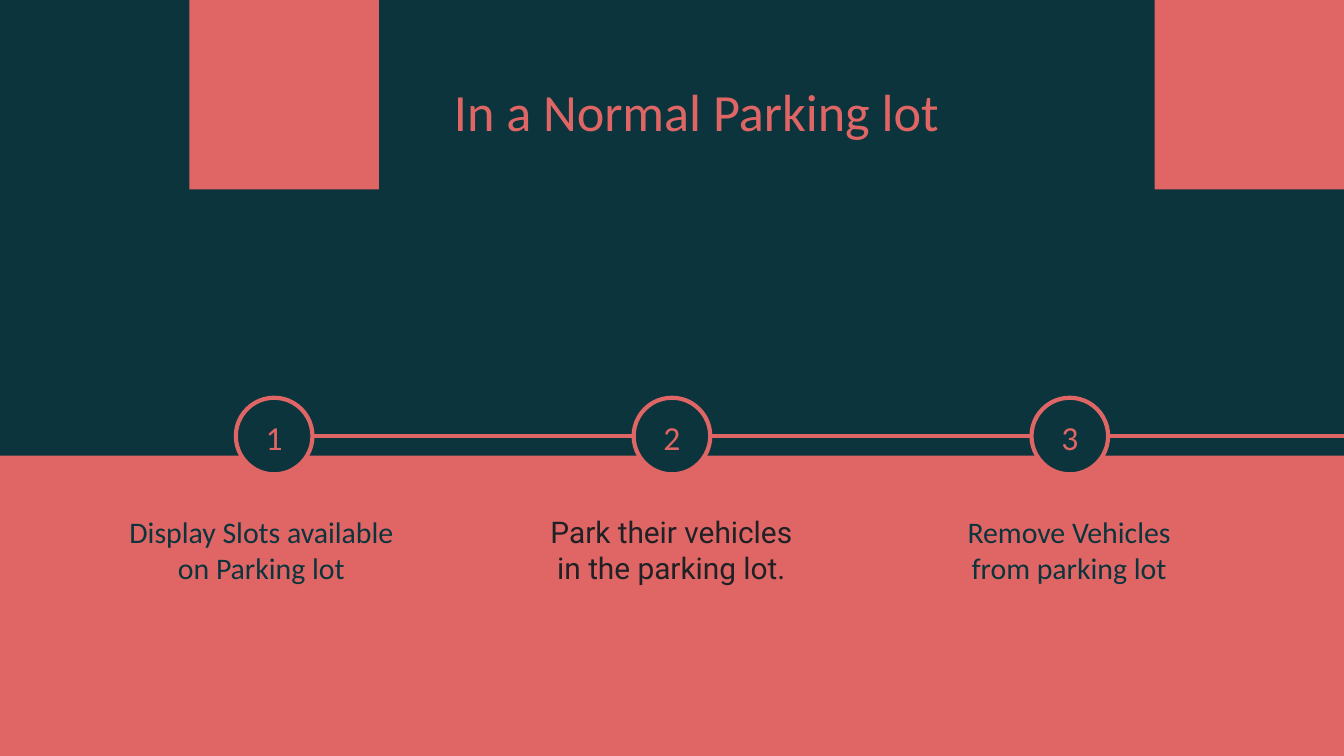
from pptx import Presentation
from pptx.dml.color import RGBColor
from pptx.enum.shapes import MSO_CONNECTOR as Connector, MSO_SHAPE as Shape
from pptx.enum.text import MSO_ANCHOR as Anchor, PP_ALIGN as Align
from pptx.oxml.ns import qn
from pptx.util import Inches, Pt
from lxml.etree import SubElement

TITLE = "In a Normal Parking lot"
STEPS = [
    {"text": "Display Slots available on Parking lot", "left": 0.75, "width": 2.39},
    {"text": "Park their vehicles in the parking lot.", "left": 3.9, "width": 2.19,
     "font": "Roboto", "color": "ink"},
    {"text": "Remove Vehicles from parking lot", "left": 6.86, "width": 2.19},
]
THEME = {
    "dark": RGBColor.from_string("0C343D"),
    "coral": RGBColor.from_string("E06666"),
    "ink": RGBColor.from_string("202124"),
    "font": "Calibri",
    "title": Pt(28),
    "number": Pt(18),
    "body": Pt(16),
    "line": Pt(2.25),
}
WIDTH = 10
HEIGHT = WIDTH * 9 / 16
SQUARE = 1.41
CIRCLE, CIRCLE_TOP, STEP_GAP = 0.57, 2.96, 2.96
RADIUS = CIRCLE / 2
LINE_Y = CIRCLE_TOP + RADIUS
LINE_END = 10.07


def set_all(target, values):
    for name, value in values.items():
        setattr(target, name, value)


def write(box, text, size, color="coral", font=THEME["font"], anchor=Anchor.TOP,
          inset_top=0.1, space_after=0):
    frame = box.text_frame
    set_all(frame, {
        "word_wrap": True, "vertical_anchor": anchor, "margin_top": Inches(inset_top),
        "margin_left": Inches(0.1), "margin_right": Inches(0.1),
        "margin_bottom": Inches(0.1),
    })
    para = frame.paragraphs[0]
    set_all(para, {"alignment": Align.CENTER, "space_after": Pt(space_after)})
    span = para.add_run()
    span.text = text
    set_all(span.font, {"name": font, "size": THEME[size]})
    span.font.color.rgb = THEME[color]


def add_text(page, area, text, size, **style):
    box = page.shapes.add_textbox(*map(Inches, area))
    write(box, text, size, **style)


def add_shape(page, kind, area, fill, outlined=False):
    shape = page.shapes.add_shape(kind, *map(Inches, area))
    shape.shadow.inherit = False
    shape.fill.solid()
    shape.fill.fore_color.rgb = THEME[fill]
    if outlined:
        shape.line.color.rgb = THEME["coral"]
        shape.line.width = THEME["line"]
    else:
        shape.line.fill.background()
    return shape


def add_line(page, start, end):
    line = page.shapes.add_connector(
        Connector.STRAIGHT, *map(Inches, (start, LINE_Y, end, LINE_Y)))
    line.line.color.rgb = THEME["coral"]
    line.line.width = THEME["line"]
    SubElement(line._element.spPr, qn("a:effectLst"))


def main():
    deck = Presentation()
    set_all(deck, {"slide_width": Inches(WIDTH), "slide_height": Inches(HEIGHT)})
    page = deck.slides.add_slide(deck.slide_layouts[6])
    page.background.fill.solid()
    page.background.fill.fore_color.rgb = THEME["dark"]

    add_shape(page, Shape.RECTANGLE, (-0.09, 3.39, 10.16, 2.3), "coral")
    for left in (WIDTH - SQUARE, SQUARE):
        add_shape(page, Shape.RECTANGLE, (left, 0, SQUARE, SQUARE), "coral")
    add_text(page, (0.52, 0.49, 9.32, 0.63), TITLE, "title")

    for step in STEPS:
        add_text(page, (step["left"], 3.72, step["width"], 0.85), step["text"], "body",
                 color=step.get("color", "dark"), font=step.get("font", THEME["font"]),
                 space_after=16)

    middle = (len(STEPS) - 1) / 2
    centers = [WIDTH / 2 + STEP_GAP * (index - middle) for index in range(len(STEPS))]
    for number, center in enumerate(centers, 1):
        circle = add_shape(page, Shape.OVAL, (center - RADIUS, CIRCLE_TOP, CIRCLE, CIRCLE),
                           "dark", outlined=True)
        write(circle, str(number), "number", anchor=Anchor.MIDDLE, inset_top=0.12)

    ends = [center - RADIUS for center in centers[1:]] + [LINE_END]
    for center, end in zip(centers, ends):
        add_line(page, center + RADIUS, end)

    deck.save("out.pptx")


if __name__ == "__main__":
    main()
